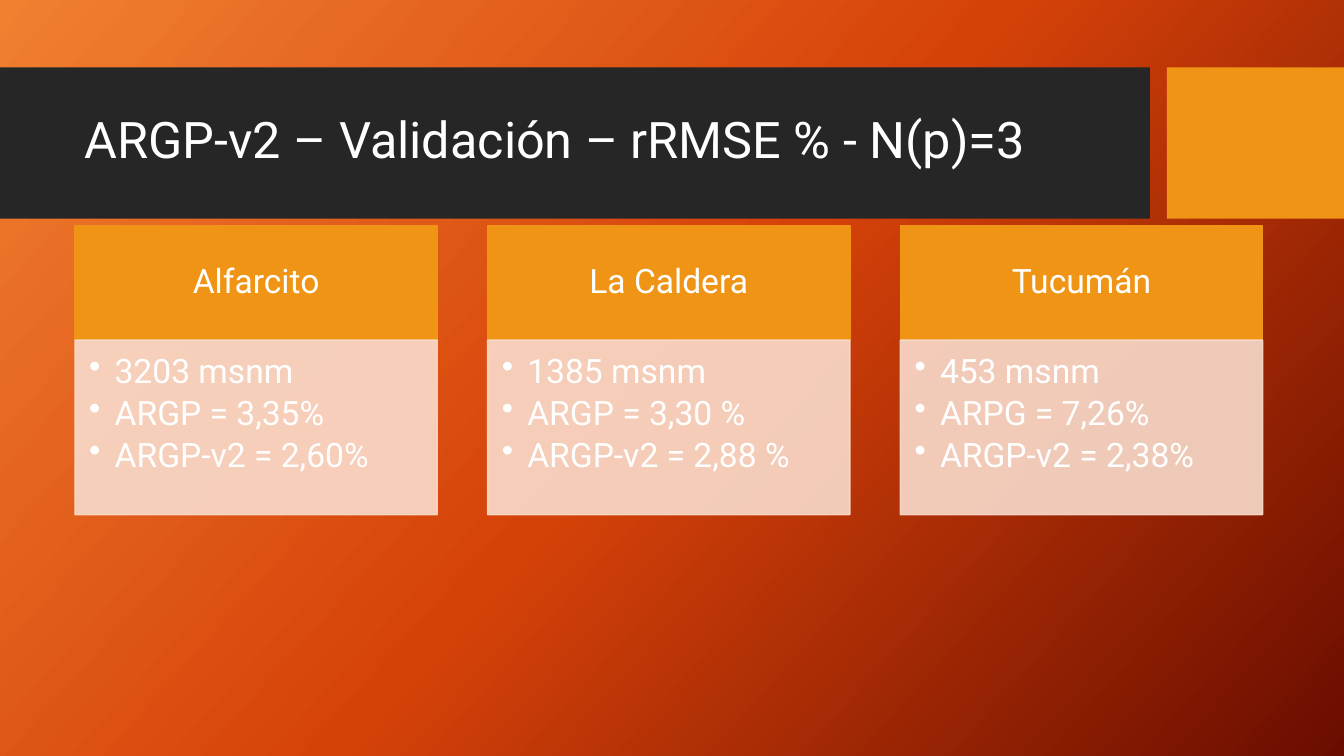
from copy import deepcopy

from pptx import Presentation
from pptx.dml.color import RGBColor as RGB
from pptx.enum.shapes import MSO_SHAPE as Preset
from pptx.enum.text import MSO_ANCHOR as Anchor, PP_ALIGN as Align
from pptx.oxml.ns import qn
from pptx.oxml.xmlchemy import OxmlElement as Element
from pptx.util import Cm, Pt

# Content
TITLE = "ARGP-v2 – Validación – rRMSE % - N(p)=3"
STATIONS = [
    ("Alfarcito", ["3203 msnm", "ARGP = 3,35%", "ARGP-v2 = 2,60%"]),
    ("La Caldera", ["1385 msnm", "ARGP = 3,30 %", "ARGP-v2 = 2,88 %"]),
    ("Tucumán", ["453 msnm", "ARPG = 7,26%", "ARGP-v2 = 2,38%"]),
]

# Look
COLORS = {"band": "262626", "accent": "F09415", "panel": "F9DCCC", "text": "FFFFFF"}
BACKGROUND = [(0, "F18031"), (0.5, "D54209"), (1, "6A0D00")]
BACKGROUND_ANGLE = 42
PANEL_OPACITY = 90
FONT = "Roboto"

# Layout in centimetres
SLIDE_WIDTH, SLIDE_HEIGHT = 33.87, 19.05
BAND_TOP, BAND_HEIGHT, BAND_WIDTH = 1.7, 3.81, 28.98
ACCENT_LEFT = 29.41
TITLE_BOX = (1.88, 2.08, 26.7, 3)
COLUMN_LEFT, COLUMN_WIDTH, COLUMN_PITCH = 1.89, 9.13, 10.4
HEADER_TOP, HEADER_HEIGHT, PANEL_HEIGHT = 5.68, 2.89, 4.4
BULLET_INDENT = 0.64

# Text frame formats
TITLE_FRAME = {"word_wrap": True, "vertical_anchor": Anchor.MIDDLE}
HEADER_FRAME = {
    "word_wrap": True, "vertical_anchor": Anchor.MIDDLE,
    "margin_left": Cm(0.48), "margin_right": Cm(0.48),
    "margin_top": Cm(0.28), "margin_bottom": Cm(0.28),
}
PANEL_FRAME = {
    "word_wrap": True, "vertical_anchor": Anchor.TOP,
    "margin_left": Cm(0.36), "margin_right": Cm(0.48),
    "margin_top": Cm(0.36), "margin_bottom": Cm(0.53),
}

# Paragraph formats
TITLE_PARAGRAPH = {"alignment": Align.LEFT, "line_spacing": 0.9}
HEADER_PARAGRAPH = {"alignment": Align.CENTER, "line_spacing": 0.9}
PANEL_PARAGRAPH = {"alignment": Align.LEFT, "line_spacing": 0.9, "space_after": Pt(4.2)}


def apply(target, values):
    for name, value in values.items():
        setattr(target, name, value)


def paint_background(slide):
    fill = slide.background.fill
    fill.gradient()
    fill.gradient_angle = 360 - BACKGROUND_ANGLE
    stop_list = next(slide.element.iter(qn("a:gsLst")))
    stop_list.append(deepcopy(stop_list[-1]))
    for stop, (position, color) in zip(fill.gradient_stops, BACKGROUND):
        stop.position = position
        stop.color.rgb = RGB.from_string(color)


def add_rectangle(slide, box, color, outlined=False, opacity=100):
    shape = slide.shapes.add_shape(Preset.RECTANGLE, *map(Cm, box))
    shape.shadow.inherit = False
    shape.fill.solid()
    shape.fill.fore_color.rgb = RGB.from_string(COLORS[color])
    if outlined:
        shape.line.color.rgb = RGB.from_string(COLORS[color])
        shape.line.width = Pt(1)
    else:
        shape.line.fill.background()
    if opacity < 100:
        for color_element in shape.element.spPr.iter(qn("a:srgbClr")):
            alpha = Element("a:alpha")
            alpha.set("val", str(opacity * 1000))
            color_element.append(alpha)
    return shape


def add_bullet(paragraph):
    properties = paragraph._p.get_or_add_pPr()
    properties.set("marL", str(Cm(BULLET_INDENT)))
    properties.set("indent", str(-Cm(BULLET_INDENT)))
    bullet = Element("a:buChar")
    bullet.set("char", "•")
    properties.append(bullet)


def write(shape, lines, size, frame_format, paragraph_format, bulleted=False):
    frame = shape.text_frame
    apply(frame, frame_format)
    frame.text = "\n".join(lines)
    for paragraph in frame.paragraphs:
        apply(paragraph, paragraph_format)
        if bulleted:
            add_bullet(paragraph)
        font = paragraph.runs[0].font
        apply(font, {"name": FONT, "size": Pt(size)})
        font.color.rgb = RGB.from_string(COLORS["text"])


def main():
    presentation = Presentation()
    apply(presentation, {"slide_width": Cm(SLIDE_WIDTH), "slide_height": Cm(SLIDE_HEIGHT)})
    slide = presentation.slides.add_slide(presentation.slide_layouts[6])
    paint_background(slide)

    # Title band
    add_rectangle(slide, (0, BAND_TOP, BAND_WIDTH, BAND_HEIGHT), "band")
    accent_width = SLIDE_WIDTH - ACCENT_LEFT
    add_rectangle(slide, (ACCENT_LEFT, BAND_TOP, accent_width, BAND_HEIGHT), "accent")
    title = slide.shapes.add_textbox(*map(Cm, TITLE_BOX))
    write(title, [TITLE], 36, TITLE_FRAME, TITLE_PARAGRAPH)

    # One column per station
    panel_top = HEADER_TOP + HEADER_HEIGHT
    for index, (station, results) in enumerate(STATIONS):
        left = COLUMN_LEFT + index * COLUMN_PITCH
        header_box = (left, HEADER_TOP, COLUMN_WIDTH, HEADER_HEIGHT)
        header = add_rectangle(slide, header_box, "accent", outlined=True)
        write(header, [station], 24, HEADER_FRAME, HEADER_PARAGRAPH)
        panel_box = (left, panel_top, COLUMN_WIDTH, PANEL_HEIGHT)
        panel = add_rectangle(slide, panel_box, "panel", outlined=True, opacity=PANEL_OPACITY)
        write(panel, results, 24, PANEL_FRAME, PANEL_PARAGRAPH, bulleted=True)

    presentation.save("out.pptx")


if __name__ == "__main__":
    main()
